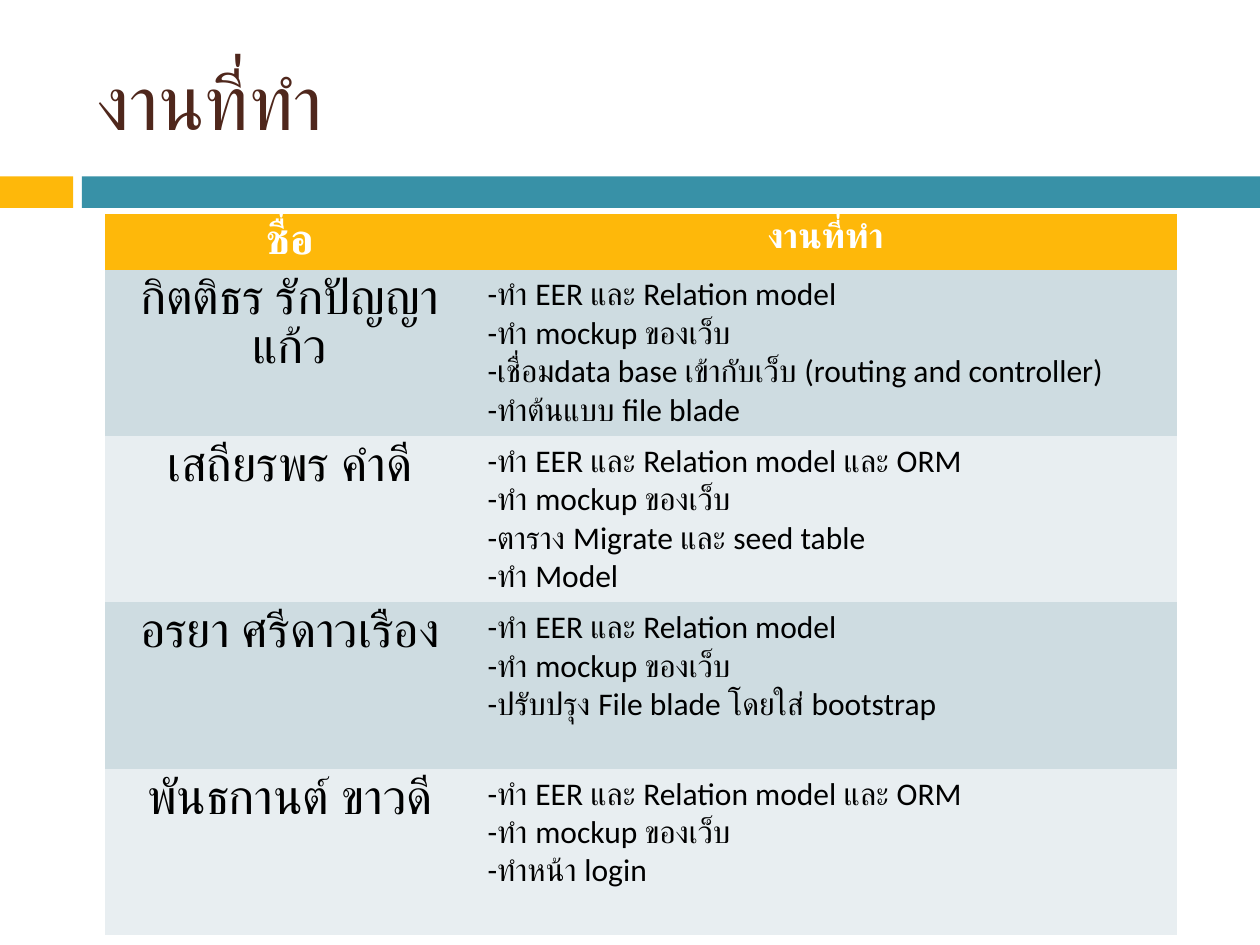
from dataclasses import dataclass

import pptx
import pptx.util
import pptx.dml.color
import pptx.enum.shapes
import pptx.enum.text

Inches = pptx.util.Inches
RGB = pptx.dml.color.RGBColor.from_string
ALIGN = pptx.enum.text.PP_ALIGN


@dataclass
class Theme:
    font: str = "Calibri"
    amber: str = "FEB80A"
    teal: str = "3891A7"
    brown: str = "4F271C"
    white: str = "FFFFFF"
    black: str = "000000"
    bands: tuple = ("CEDCE1", "E8EEF1")
    title_size: int = 44
    header_sizes: tuple = (24, 20)
    body_sizes: tuple = (28, 18)


theme = Theme()


def write(tf, lines, size, color, align, bold=False):
    for i, line in enumerate(lines):
        p = tf.paragraphs[0] if i == 0 else tf.add_paragraph()
        p.text = line
        p.alignment = align
        p.font.name = theme.font
        p.font.size = pptx.util.Pt(size)
        p.font.bold = bold
        p.font.color.rgb = RGB(color)


prs = pptx.Presentation()
prs.slide_width, prs.slide_height = Inches(10), Inches(7.5)
s = prs.slides.add_slide(prs.slide_layouts[5])

for left, width, color in ((0, 0.58, theme.amber), (0.65, 9.35, theme.teal)):
    bar = s.shapes.add_shape(
        pptx.enum.shapes.MSO_SHAPE.RECTANGLE,
        Inches(left), Inches(1.4), Inches(width), Inches(0.25))
    bar.shadow.inherit = False
    bar.fill.solid()
    bar.fill.fore_color.rgb = RGB(color)
    bar.line.fill.background()

title = s.shapes.title
title.left, title.top = Inches(0.67), Inches(0.25)
title.width, title.height = Inches(8.92), Inches(1.08)
title.text_frame.vertical_anchor = pptx.enum.text.MSO_ANCHOR.MIDDLE
write(title.text_frame, ["งานที่ทำ"], theme.title_size, theme.brown, ALIGN.LEFT)

eer = "-ทำ EER และ Relation model"
mockup = "-ทำ mockup ของเว็บ"
members = [
    ("กิตติธร รักปัญญาแก้ว",
     [eer, mockup, "-เชื่อมdata base เข้ากับเว็บ (routing and controller)",
      "-ทำต้นแบบ file blade"]),
    ("เสถียรพร คำดี",
     [eer + " และ ORM", mockup, "-ตาราง Migrate และ seed table", "-ทำ Model"]),
    ("อรยา ศรีดาวเรือง",
     [eer, mockup, "-ปรับปรุง File blade โดยใส่ bootstrap"]),
    ("พันธกานต์ ขาวดี",
     [eer + " และ ORM", mockup, "-ทำหน้า login"]),
]
header_height, row_height = 0.44, 1.32

frame = s.shapes.add_table(
    len(members) + 1, 2, Inches(0.83), Inches(1.7),
    Inches(8.51), Inches(header_height + row_height * len(members)))
table = frame.table
style = table._tbl.tblPr.find(pptx.oxml.ns.qn("a:tableStyleId"))
style.text = "{2D5ABB26-0587-4C30-8999-92F81FD0307C}"
for column, width in zip(table.columns, (2.94, 5.57)):
    column.width = Inches(width)

rows = [("ชื่อ", ["งานที่ทำ"])] + members
for i, (name, tasks) in enumerate(rows):
    header = i == 0
    table.rows[i].height = Inches(header_height if header else row_height)
    fill = theme.amber if header else theme.bands[(i - 1) % 2]
    color = theme.white if header else theme.black
    sizes = theme.header_sizes if header else theme.body_sizes
    aligns = (ALIGN.CENTER, ALIGN.CENTER if header else ALIGN.LEFT)
    for j, lines in enumerate(([name], tasks)):
        cell = table.cell(i, j)
        cell.fill.solid()
        cell.fill.fore_color.rgb = RGB(fill)
        write(cell.text_frame, lines, sizes[j], color, aligns[j], header)

prs.save("out.pptx")
